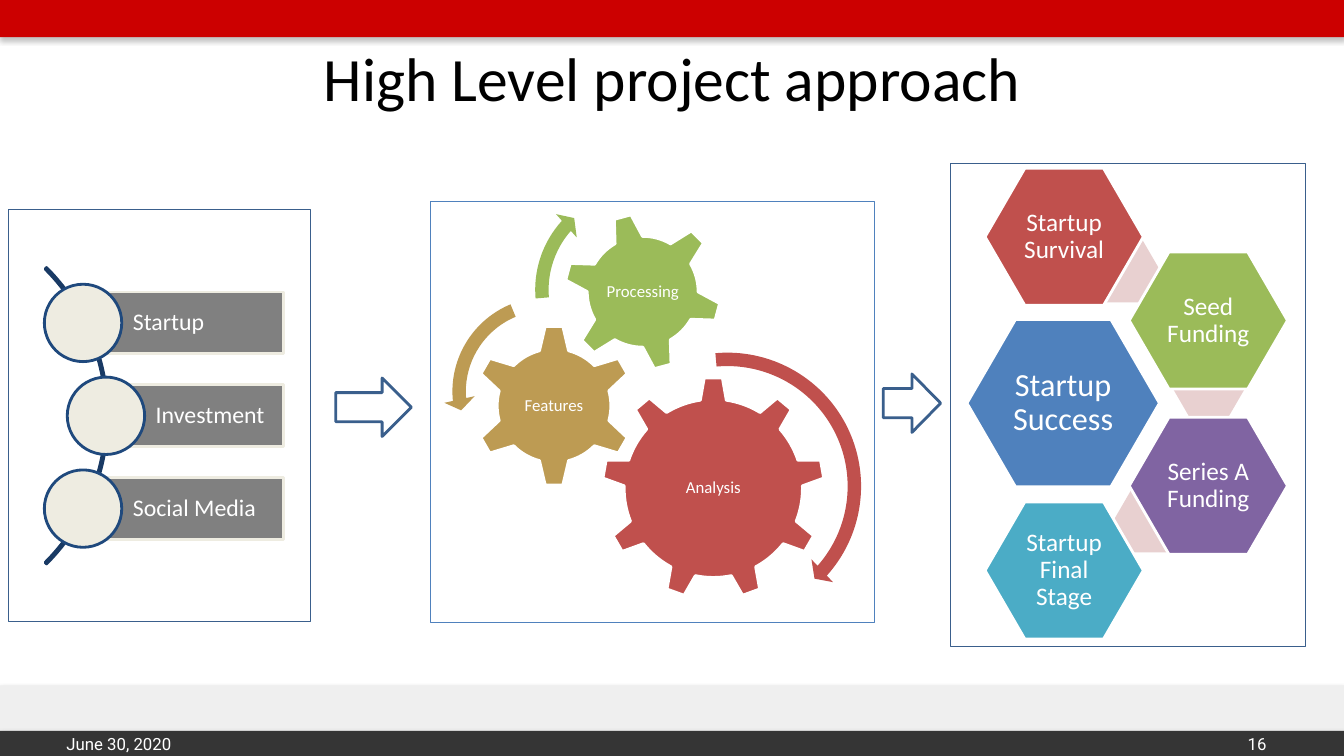
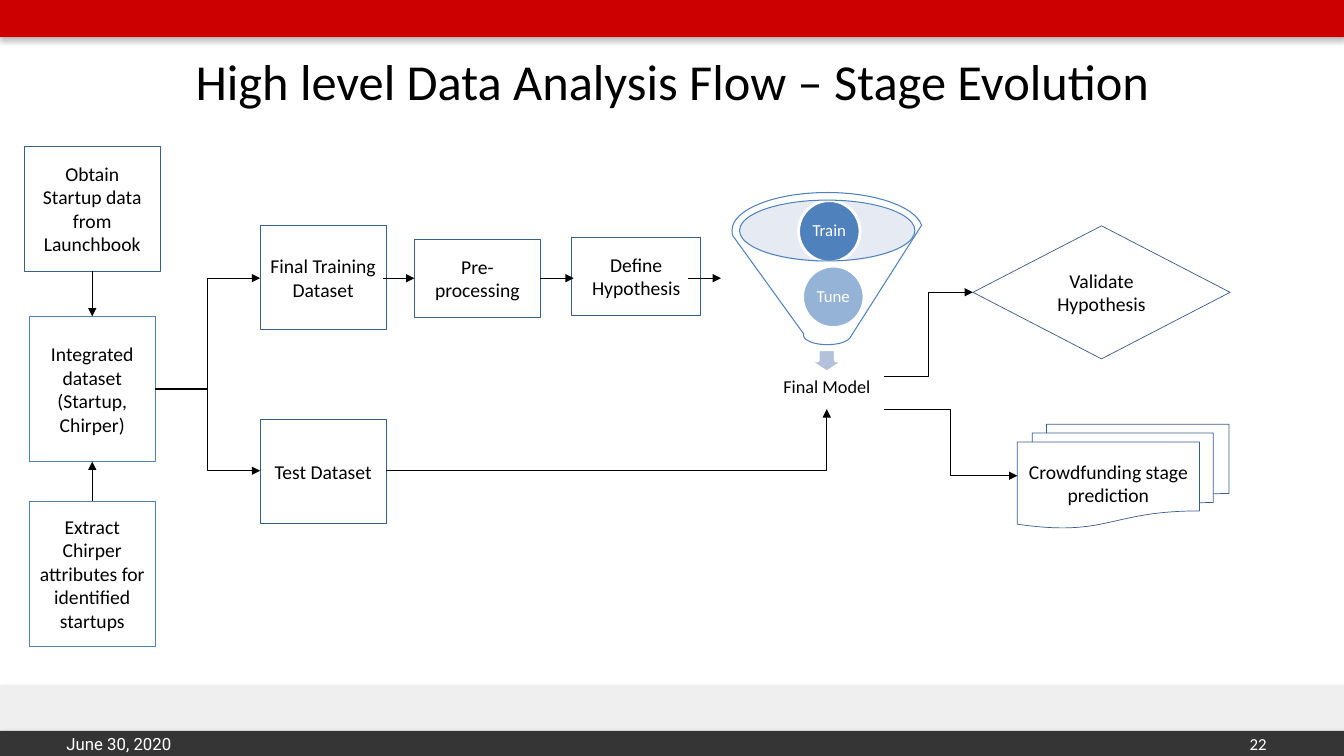
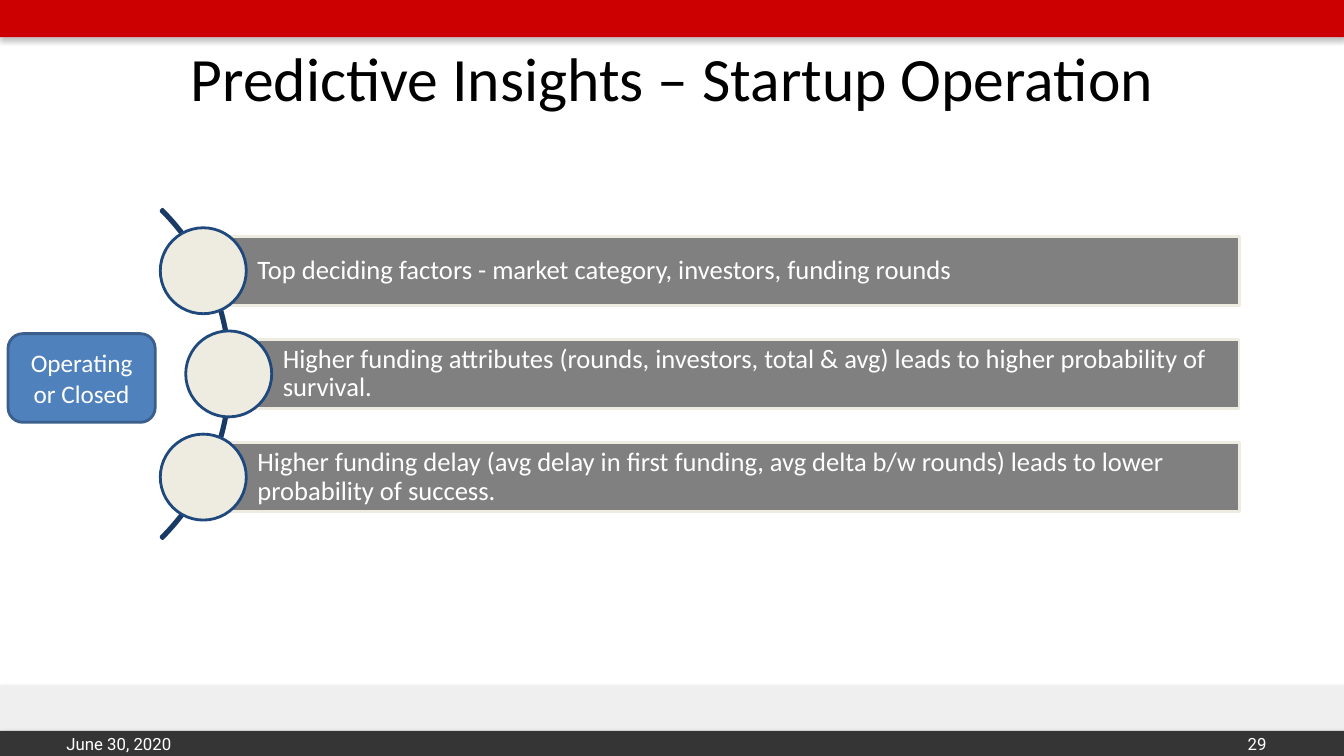
from lxml.etree import SubElement
from pptx import Presentation
from pptx.dml.color import RGBColor
from pptx.enum.shapes import MSO_CONNECTOR, MSO_SHAPE
from pptx.enum.text import MSO_ANCHOR, PP_ALIGN
from pptx.oxml.ns import qn
from pptx.util import Emu, Pt

SCALE = 9144
WIDTH, HEIGHT = 1333, 750
COLOURS = {
    "white": "FFFFFF", "black": "000000", "banner": "CC0000", "strip": "EFEFEF",
    "footer": "353535", "shadow": "666666", "outline": "3A5F8C", "blue": "4F81BD",
    "red": "C0504D", "gold": "BD9B53", "green": "9BBB59", "purple": "8064A2",
    "teal": "4BACC6", "pink": "E8D0D0", "grey": "808080", "cream": "EEECE1",
    "navy": "1F497D", "arc": "193A64", "rim": "C2CDE1", "pale": "B3C1DB",
}
BODY_FONT, FOOTER_FONT = "Calibri", "Roboto"


def px(length):
    return Emu(round(length * SCALE))


def colour(name):
    return RGBColor.from_string(COLOURS[name])


def within(box, left, top, width, height):
    return box[0] + left, box[1] + top, width, height


def write(shape, text, size, ink="black", font=BODY_FONT, align=PP_ALIGN.CENTER,
          insets=(10, 5, 10, 5), spacing=None):
    frame = shape.text_frame
    frame.word_wrap = True
    frame.vertical_anchor = MSO_ANCHOR.MIDDLE
    frame.margin_left, frame.margin_top, frame.margin_right, frame.margin_bottom = map(px, insets)
    frame.text = text
    paragraph = frame.paragraphs[0]
    paragraph.alignment = align
    if spacing:
        paragraph.line_spacing = spacing
    run_font = paragraph.runs[0].font
    run_font.name, run_font.size = font, Pt(size)
    run_font.color.rgb = colour(ink)


def add_text(slide, box, text, size, **style):
    shape = slide.shapes.add_textbox(*map(px, box))
    write(shape, text, size, **style)
    return shape


def add_shape(slide, kind, box, fill=None, line=None, weight=2, opacity=None, adjust=()):
    shape = slide.shapes.add_shape(kind, *map(px, box))
    shape.shadow.inherit = False
    if fill:
        shape.fill.solid()
        shape.fill.fore_color.rgb = colour(fill)
    else:
        shape.fill.background()
    if line:
        shape.line.color.rgb = colour(line)
        shape.line.width = Pt(weight)
    else:
        shape.line.fill.background()
    if opacity:
        tint = shape._element.spPr.find(qn("a:solidFill")).find(qn("a:srgbClr"))
        SubElement(tint, qn("a:alpha"), val=str(opacity * 1000))
    for index, value in enumerate(adjust):
        shape.adjustments[index] = value
    return shape


def add_arrow(slide, start, end, kind=MSO_CONNECTOR.STRAIGHT, begin=None, finish=None):
    connector = slide.shapes.add_connector(kind, *map(px, (*start, *end)))
    connector.line.color.rgb = colour("black")
    connector.line.width = Pt(0.75)
    if begin:
        connector.begin_connect(*begin)
    if finish:
        connector.end_connect(*finish)
    properties = connector._element.spPr
    SubElement(properties.find(qn("a:ln")), qn("a:tailEnd"), type="triangle")
    SubElement(properties, qn("a:effectLst"))
    return connector


def add_band(slide, box, fill):
    band = add_shape(slide, MSO_SHAPE.RECTANGLE, box, fill)
    effects = band._element.spPr.find(qn("a:effectLst"))
    shadow = SubElement(effects, qn("a:outerShdw"), blurRad=str(Pt(4)), dist=str(Pt(2)),
                        dir="5400000", algn="t", rotWithShape="0")
    tint = SubElement(shadow, qn("a:srgbClr"), val=COLOURS["shadow"])
    SubElement(tint, qn("a:alpha"), val="40000")


def start_slide(presentation, title, number, size=44, title_top=32, number_font=FOOTER_FONT):
    slide = presentation.slides.add_slide(presentation.slide_layouts[6])
    add_band(slide, (0, 680, WIDTH, 45), "strip")
    add_band(slide, (0, 725, WIDTH, 25), "footer")
    add_band(slide, (0, 0, WIDTH, 37), "banner")
    add_text(slide, (56, 725, 332, 25), "June 30, 2020", 12, ink="white", font=FOOTER_FONT,
             align=PP_ALIGN.LEFT, insets=(10, 10, 10, 10))
    add_text(slide, (1107, 725, 159, 25), str(number), 12, ink="white", font=number_font,
             align=PP_ALIGN.RIGHT)
    add_text(slide, (67, title_top, 1200, 88), title, size)
    return slide


def draw_radial_list(slide, box, labels, size):
    left, top, width, height = box
    bar = height / 4.25
    circle, pitch, indent, diameter = bar * 1.25, bar * 1.5, bar * 0.37, bar * 6.77
    arc_right = left + circle / 2 + indent + 2
    add_shape(slide, MSO_SHAPE.BLOCK_ARC,
              (arc_right - diameter, top + height / 2 - diameter / 2, diameter, diameter),
              line="arc", adjust=(189, 27, 0.005))
    for index, label in enumerate(labels):
        circle_left = left + indent * (index % 2)
        circle_top = top + index * pitch
        bar_left = circle_left + circle / 2
        strip = add_shape(slide, MSO_SHAPE.RECTANGLE,
                          (bar_left, circle_top + bar / 8, left + width - bar_left, bar),
                          "grey", "cream")
        write(strip, label, size, ink="white", align=PP_ALIGN.LEFT,
              insets=(circle / 2 + 11, 5, 5, 5), spacing=0.9)
        add_shape(slide, MSO_SHAPE.OVAL, (circle_left, circle_top, circle, circle),
                  "cream", "navy")


def draw_gears(slide, box):
    gears = [
        (MSO_SHAPE.GEAR_9, 170, 174, 221, 0, "red", "Analysis", 132),
        (MSO_SHAPE.GEAR_6, 42, 122, 161, 0, "gold", "Features", 80),
        (MSO_SHAPE.GEAR_6, 132, 11, 157, 345, "green", "Processing", 88),
    ]
    for kind, left, top, side, rotation, fill, label, text_side in gears:
        gear = add_shape(slide, kind, within(box, left, top, side, side), fill, "white")
        gear.rotation = rotation
        margin = (side - text_side) / 2
        add_text(slide, within(box, left + margin, top + margin, text_side, text_side),
                 label, 12, ink="white", insets=(2, 2, 2, 2), spacing=0.9)
    arrows = [
        (MSO_SHAPE.CIRCULAR_ARROW, 153, 141, 283, "red", (0.047, 2.99, 25.02, 158.91, 0.055)),
        (MSO_SHAPE.LEFT_CIRCULAR_ARROW, 13, 86, 205, "gold",
         (0.065, 4.3, 104.89, 148.38, 0.075)),
        (MSO_SHAPE.CIRCULAR_ARROW, 95, -23, 221, "green", (0.06, 3.94, 133.14, 105.08, 0.07)),
    ]
    for kind, left, top, side, fill, adjust in arrows:
        add_shape(slide, kind, within(box, left, top, side, side), fill, adjust=adjust)


def draw_hexagons(slide, box):
    def hexagon(left, top, width, height, fill, label=None, size=18):
        shape = add_shape(slide, MSO_SHAPE.HEXAGON, within(box, left, top, width, height),
                          fill, "white" if label else None, adjust=(0.29,))
        if label:
            write(shape, label, size, ink="white", insets=(3, 3, 3, 3), spacing=0.9)

    hexagon(17, 155, 191, 166, "blue", "Startup Success", 23)
    for left, top in [(137, 76), (221, 192), (162, 324)]:
        hexagon(left, top, 72, 62, "pink")
    outcomes = [
        (35, 5, "red", "Startup Survival"),
        (178, 88, "green", "Seed Funding"),
        (178, 252, "purple", "Series A Funding"),
        (35, 336, "teal", "Startup Final Stage"),
    ]
    for left, top, fill, label in outcomes:
        hexagon(left, top, 157, 136, fill, label)


def draw_funnel(slide, box):
    add_shape(slide, MSO_SHAPE.OVAL, within(box, 7, 8, 174, 61), "rim", opacity=40)
    add_shape(slide, MSO_SHAPE.DOWN_ARROW, within(box, 77, 156, 34, 22), "pale", "white")
    add_text(slide, within(box, 13, 173, 162, 41), "Final Model", 13,
             insets=(10, 10, 10, 10), spacing=0.9)
    for left, top, label in [(70, 73, "Tune"), (66, 8, "Train")]:
        ball = add_shape(slide, MSO_SHAPE.OVAL, within(box, left, top, 61, 61), "blue", "white")
        write(ball, label, 12, ink="white", insets=(2, 2, 2, 2), spacing=0.9)
    add_shape(slide, MSO_SHAPE.FUNNEL, box, "white", "blue", 0.75, opacity=40)


def add_step(slide, box, label, kind=MSO_SHAPE.RECTANGLE, line="outline"):
    step = add_shape(slide, kind, box, line=line, weight=0.5)
    write(step, label, 14)
    return step


def draw_sources(slide, box):
    obtain = add_step(slide, within(box, 0, 0, 135, 124), "Obtain Startup data from Launchbook")
    integrated = add_step(slide, within(box, 5, 169, 125, 144),
                          "Integrated dataset (Startup, Chirper)", line="blue")
    extract = add_step(slide, within(box, 5, 352, 125, 144),
                       "Extract Chirper attributes for identified startups", line="blue")
    middle = box[0] + 67
    add_arrow(slide, (middle, box[1] + 124), (middle, box[1] + 169),
              begin=(obtain, 2), finish=(integrated, 0))
    add_arrow(slide, (middle, box[1] + 352), (middle, box[1] + 313),
              begin=(extract, 0), finish=(integrated, 2))


def draw_preparation(slide, box):
    add_step(slide, within(box, 0, 0, 125, 103), "Final Training Dataset")
    add_step(slide, within(box, 0, 192, 125, 103), "Test Dataset")
    processing = add_step(slide, within(box, 153, 13, 125, 78), "Pre-processing")
    add_step(slide, within(box, 309, 11, 128, 78), "Define Hypothesis")
    level = box[1] + 52
    joins = [(122, None, (processing, 1)), (278, (processing, 3), None), (424, None, None)]
    for left, begin, finish in joins:
        start = box[0] + left
        add_arrow(slide, (start, level), (start + 33, level), begin=begin, finish=finish)


def draw_results(slide, box):
    add_step(slide, within(box, 0, 0, 255, 132), "Validate Hypothesis",
             MSO_SHAPE.FLOWCHART_DECISION)
    add_step(slide, within(box, 44, 197, 210, 103), "Crowdfunding stage prediction",
             MSO_SHAPE.FLOWCHART_MULTIDOCUMENT)


def build_approach(presentation):
    slide = start_slide(presentation, "High Level project approach", 16)
    inputs, work, results = (8, 208, 300, 408), (427, 200, 440, 417), (942, 162, 353, 479)
    draw_gears(slide, work)
    draw_hexagons(slide, results)
    draw_radial_list(slide, within(inputs, 36, 74, 237, 261),
                     ["Startup", "Investment", "Social Media"], 17)
    for box in [(333, 375, 75, 58), (876, 371, 57, 58)]:
        add_shape(slide, MSO_SHAPE.RIGHT_ARROW, box, line="outline")
    for box, line in [(inputs, "outline"), (work, "blue"), (results, "outline")]:
        add_shape(slide, MSO_SHAPE.RECTANGLE, box, line=line, weight=0.25)


def build_flow(presentation):
    slide = start_slide(presentation, "High level Data Analysis Flow – Stage Evolution", 22,
                        size=36, title_top=36, number_font=BODY_FONT)
    draw_sources(slide, (24, 145, 135, 496))
    draw_preparation(slide, (258, 224, 437, 295))
    draw_funnel(slide, (726, 191, 189, 151))
    draw_results(slide, (965, 224, 255, 300))
    elbows = [
        ((154, 386), (258, 276)),
        ((154, 386), (258, 467)),
        ((877, 374), (965, 290)),
        ((877, 406), (1009, 472)),
    ]
    for start, end in elbows:
        add_arrow(slide, start, end, MSO_CONNECTOR.ELBOW)
    test_link = add_arrow(slide, (383, 467), (820, 406), MSO_CONNECTOR.ELBOW)
    test_link._element.spPr.find(qn("a:prstGeom")).set("prst", "bentConnector2")


def build_insights(presentation):
    slide = start_slide(presentation, "Predictive Insights – Startup Operation", 29)
    draw_radial_list(slide, (159, 226, 1070, 290), [
        "Top deciding factors - market category, investors, funding rounds",
        "Higher funding attributes (rounds, investors, total & avg) leads to higher "
        "probability of survival.",
        "Higher funding delay (avg delay in first funding, avg delta b/w rounds) leads to "
        "lower probability of success.",
    ], 19)
    status = add_shape(slide, MSO_SHAPE.FLOWCHART_ALTERNATE_PROCESS, (8, 331, 146, 88),
                       "blue", "outline")
    write(status, "Operating or Closed", 18, ink="white")


def main():
    presentation = Presentation()
    presentation.slide_width, presentation.slide_height = px(WIDTH), px(HEIGHT)
    build_approach(presentation)
    build_flow(presentation)
    build_insights(presentation)
    presentation.save("out.pptx")


if __name__ == "__main__":
    main()
